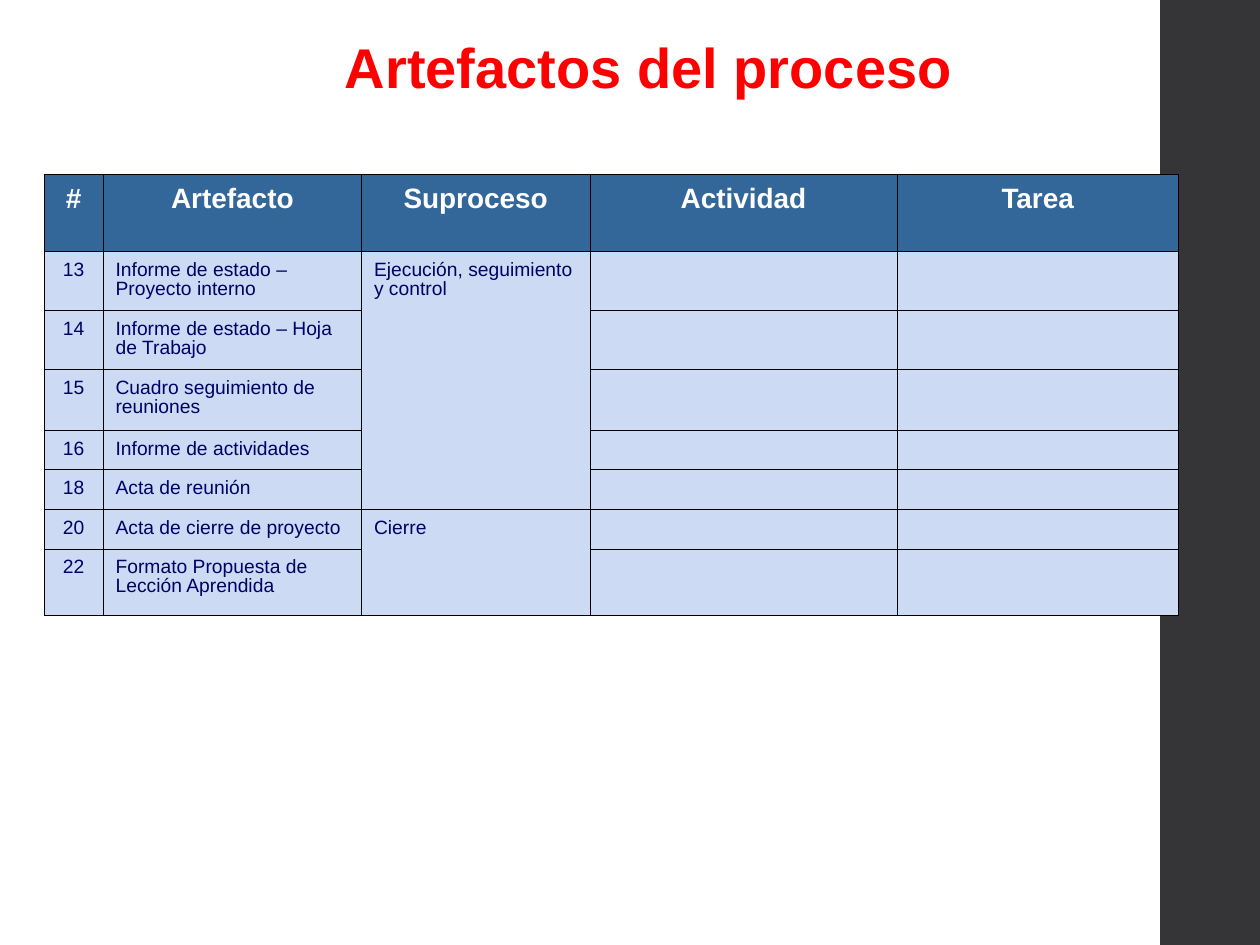
from pptx import Presentation, util as u
from pptx.dml.color import RGBColor
from pptx.enum import shapes, text
from pptx.oxml import parse_xml
from pptx.oxml.ns import nsdecls

THEME = {
    "font": "Arial",
    "bar": "353537", "title": "FF0000", "line": "000000",
    "header_fill": "336699", "header_text": "FFFFFF",
    "body_fill": "CDDAF3", "body_text": "000066",
    "title_size": 32, "header_size": 16, "body_size": 11,
    "outer_line": 0.51, "inner_line": 0.23,
}
HEADERS = ["#", "Artefacto", "Suproceso", "Actividad", "Tarea"]
ARTIFACTS = [
    ("13", "Informe de estado – Proyecto interno", "Ejecución, seguimiento y control"),
    ("14", "Informe de estado – Hoja de Trabajo", ""),
    ("15", "Cuadro seguimiento de reuniones", ""),
    ("16", "Informe de actividades", ""),
    ("18", "Acta de reunión", ""),
    ("20", "Acta de cierre de proyecto", "Cierre"),
    ("22", "Formato Propuesta de Lección Aprendida", ""),
]
COLUMN_WIDTHS = [1.19, 5.21, 4.6, 6.2, 5.66]
ROW_HEIGHTS = [1.55, 1.19, 1.19, 1.22, 0.76, 0.76, 0.76, 1.35]
SUBPROCESS_COLUMN = 2
SUBPROCESS_ROWS = [(1, 5), (6, 7)]


def apply(target, formats):
    for name, value in formats.items():
        setattr(target, name, value)


def paint(fill, color):
    fill.solid()
    fill.fore_color.rgb = RGBColor.from_string(color)


def write(paragraph, words, size, color, bold):
    span = paragraph.add_run()
    span.text = words
    apply(span.font, {"name": THEME["font"], "size": u.Pt(size), "bold": bold})
    span.font.color.rgb = RGBColor.from_string(color)


def add_side_bar(page, height):
    bar = page.shapes.add_shape(
        shapes.MSO_SHAPE.RECTANGLE, u.Cm(23.39), 0, u.Cm(2.01), height)
    bar.shadow.inherit = False
    paint(bar.fill, THEME["bar"])
    bar.line.fill.background()


def add_title(page, words):
    box = page.shapes.title
    apply(box, {"left": u.Cm(6.7), "top": u.Cm(0.53),
                "width": u.Cm(12.83), "height": u.Cm(1.63)})
    apply(box.text_frame, {
        "word_wrap": False,
        "auto_size": text.MSO_AUTO_SIZE.SHAPE_TO_FIT_TEXT,
        "vertical_anchor": text.MSO_ANCHOR.TOP,
    })
    paragraph = box.text_frame.paragraphs[0]
    paragraph.alignment = text.PP_ALIGN.LEFT
    write(paragraph, words, THEME["title_size"], THEME["title"], True)


def add_borders(cell, outer_sides):
    properties = cell._tc.get_or_add_tcPr()
    for position, side in enumerate("LRTB"):
        weight = THEME["outer_line" if side in outer_sides else "inner_line"]
        properties.insert(position, parse_xml(
            f'<a:ln{side} {nsdecls("a")} w="{u.Pt(weight)}"><a:solidFill>'
            f'<a:srgbClr val="{THEME["line"]}"/></a:solidFill></a:ln{side}>'))


def format_cell(cell, words, kind, centered):
    is_header = kind == "header"
    size = THEME[kind + "_size"]
    apply(cell, {"margin_left": u.Cm(0.25), "margin_right": u.Cm(0.25),
                 "margin_top": u.Cm(0.23 if is_header else 0.2),
                 "margin_bottom": u.Cm(0.13)})
    paint(cell.fill, THEME[kind + "_fill"])
    paragraph = cell.text_frame.paragraphs[0]
    apply(paragraph, {
        "alignment": text.PP_ALIGN.CENTER if centered else text.PP_ALIGN.LEFT,
        "line_spacing": 0.89,
        "space_before": u.Pt(4 if is_header else 2.8),
    })
    if words:
        write(paragraph, words, size, THEME[kind + "_text"], is_header)
    else:
        paragraph._p.append(parse_xml(
            f'<a:endParaRPr {nsdecls("a")} sz="{size * 100}"/>'))


def add_artifact_table(page):
    rows = [HEADERS] + [artifact + ("", "") for artifact in ARTIFACTS]
    last_row, last_column = len(rows) - 1, len(HEADERS) - 1
    table = page.shapes.add_table(
        len(rows), len(HEADERS), u.Cm(0.89), u.Cm(3.52),
        u.Cm(sum(COLUMN_WIDTHS)), u.Cm(sum(ROW_HEIGHTS))).table
    table.horz_banding = False
    for column, width in zip(table.columns, COLUMN_WIDTHS):
        column.width = u.Cm(width)
    for row, height in zip(table.rows, ROW_HEIGHTS):
        row.height = u.Cm(height)
    for first, last in SUBPROCESS_ROWS:
        table.cell(first, SUBPROCESS_COLUMN).merge(table.cell(last, SUBPROCESS_COLUMN))
    for r, row in enumerate(rows):
        for c, words in enumerate(row):
            cell = table.cell(r, c)
            kind = "header" if r == 0 else "body"
            format_cell(cell, words, kind, r == 0 or c == 0)
            edges = {"L": c == 0, "R": c == last_column,
                     "T": r == 0, "B": r == last_row}
            add_borders(cell, [side for side in edges if edges[side]])


def main():
    deck = Presentation()
    apply(deck, {"slide_width": u.Cm(25.4), "slide_height": u.Cm(19.05)})
    page = deck.slides.add_slide(deck.slide_layouts.get_by_name("Title Only"))
    paint(page.background.fill, "FFFFFF")
    add_side_bar(page, deck.slide_height)
    add_title(page, "Artefactos del proceso")
    add_artifact_table(page)
    deck.save("out.pptx")


main()
